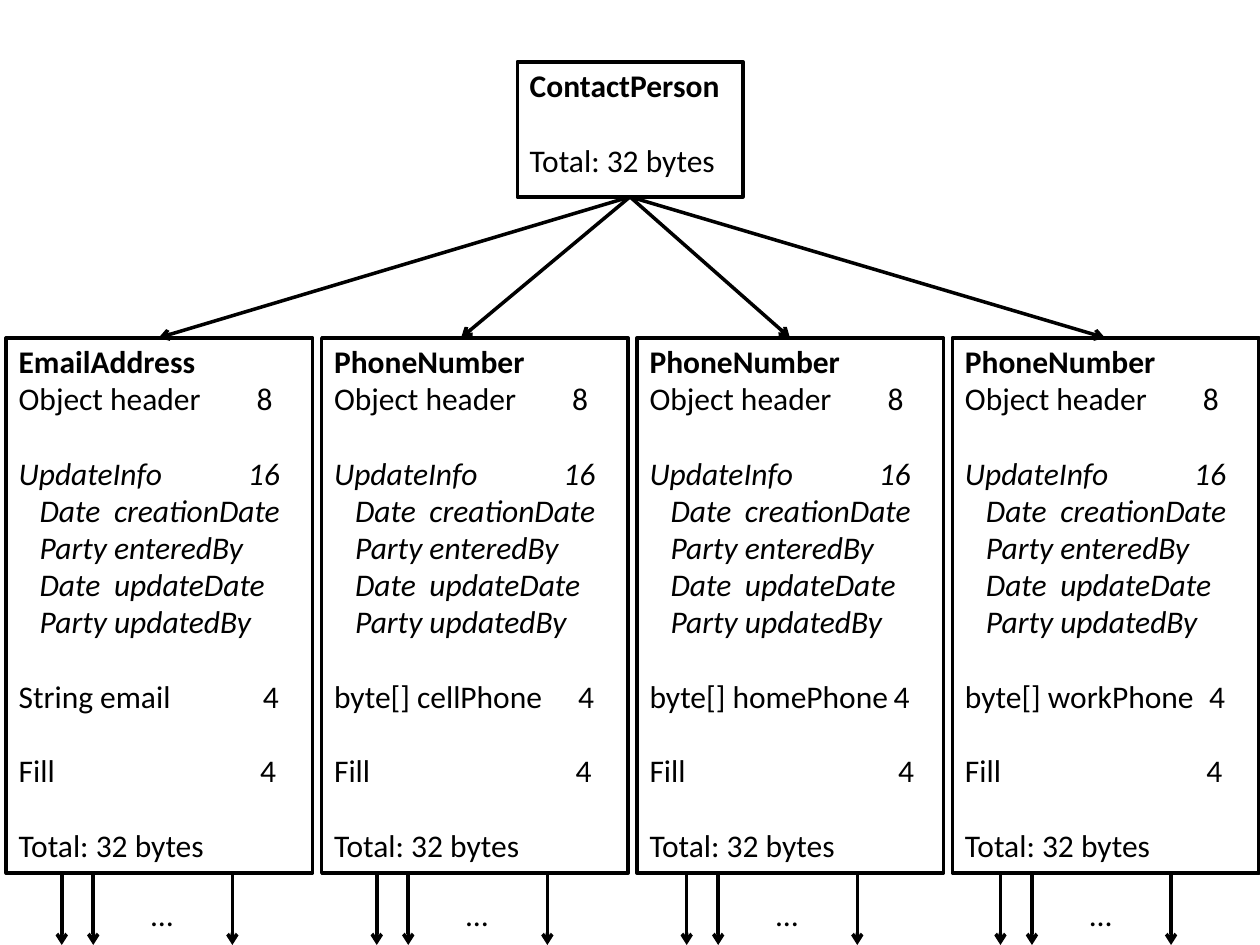
"""Builds a slide showing the memory layout of a ContactPerson and its children."""
import pptx
import pptx.chart.data
import pptx.dml.color
import pptx.enum.shapes
import pptx.enum.text
import pptx.oxml.ns
import pptx.util
from dataclasses import dataclass
from lxml import etree

Pt = pptx.util.Pt
qn = pptx.oxml.ns.qn


@dataclass(frozen=True)
class Theme:
    font: str = "Calibri"
    size: float = 18
    ink: str = "000000"
    paper: str = "FFFFFF"
    stroke: float = 2
    leading: float = 0.98
    gap: float = 21.5


@dataclass(frozen=True)
class Row:
    text: str
    stops: tuple = ()
    bold: bool = False
    italic: bool = False
    gap: bool = False


class Diagram:
    def __init__(self, s, theme):
        self.s = s
        self.theme = theme

    def color(self, value):
        return pptx.dml.color.RGBColor.from_string(value)

    def paragraph(self, p, row):
        t = self.theme
        p.alignment = pptx.enum.text.PP_ALIGN.LEFT
        p.line_spacing = t.leading
        if row.gap:
            p.space_before = Pt(t.gap)
        if row.stops:
            tabs = etree.SubElement(p._p.get_or_add_pPr(), qn("a:tabLst"))
            for stop in row.stops:
                etree.SubElement(tabs, qn("a:tab"), pos=str(Pt(stop)), algn="l")
        p.text = row.text
        f = p.font
        f.name, f.size, f.bold, f.italic = t.font, Pt(t.size), row.bold, row.italic
        f.color.rgb = self.color(t.ink)

    def box(self, x, y, w, h, rows):
        t = self.theme
        sp = self.s.shapes.add_shape(
            pptx.enum.shapes.MSO_SHAPE.RECTANGLE, Pt(x), Pt(y), Pt(w), Pt(h))
        sp.shadow.inherit = False
        sp.fill.solid()
        sp.fill.fore_color.rgb = self.color(t.paper)
        sp.line.color.rgb = self.color(t.ink)
        sp.line.width = Pt(t.stroke)
        tf = sp.text_frame
        tf.word_wrap = True
        tf.vertical_anchor = pptx.enum.text.MSO_ANCHOR.TOP
        for i, row in enumerate(rows):
            self.paragraph(tf.add_paragraph() if i else tf.paragraphs[0], row)

    def label(self, x, y, w, h, text):
        tf = self.s.shapes.add_textbox(Pt(x), Pt(y), Pt(w), Pt(h)).text_frame
        tf.word_wrap = True
        self.paragraph(tf.paragraphs[0], Row(text))

    def arrow(self, x1, y1, x2, y2):
        t = self.theme
        c = self.s.shapes.add_connector(
            pptx.enum.shapes.MSO_CONNECTOR.STRAIGHT, Pt(x1), Pt(y1), Pt(x2), Pt(y2))
        c.line.color.rgb = self.color(t.ink)
        c.line.width = Pt(t.stroke)
        etree.SubElement(c.line._get_or_add_ln(), qn("a:tailEnd"), type="arrow")
        etree.SubElement(c._element.spPr, qn("a:effectLst"))


def object_rows(name, field, fill_stop):
    members = ("Date\tcreationDate", "Party\tenteredBy",
               "Date\tupdateDate", "Party\tupdatedBy")
    return [
        Row(name, bold=True),
        Row("Object header\t8", (136,)),
        Row("UpdateInfo\t16", (131,), italic=True, gap=True),
        *(Row("\t" + m, (12, 54.5), italic=True) for m in members),
        Row(field + "\t4", (139.5,), gap=True),
        Row("Fill\t4", (fill_stop,), gap=True),
        Row("Total: 32 bytes", gap=True),
    ]


def main():
    prs = pptx.Presentation()
    prs.slide_width, prs.slide_height = Pt(720), Pt(540)
    d = Diagram(prs.slides.add_slide(prs.slide_layouts[6]), Theme())

    root_bottom, top, height, bottom = 112.5, 193, 306, 540
    d.box(295.6, 35.3, 129, 77.2,
          [Row("ContactPerson", bold=True), Row("Total: 32 bytes", gap=True)])

    children = [
        ("EmailAddress", "String email", 138, 90.7, 35.3),
        ("PhoneNumber", "byte[] cellPhone", 138, 263.5, 215.3),
        ("PhoneNumber", "byte[] homePhone", 142, 451.4, 392.4),
        ("PhoneNumber", "byte[] workPhone", 138, 631.4, 571.7),
    ]
    for i, (name, field, fill_stop, target, refs) in enumerate(children):
        d.box(3.6 + 180.25 * i, top, 175, height, object_rows(name, field, fill_stop))
        d.arrow(360, root_bottom, target, top)
        for offset in (0, 18, 97.5):
            d.arrow(refs + offset, top + height, refs + offset, bottom)
        d.label(refs + 44, 509, 35.3, 29, "…")

    prs.save("out.pptx")


if __name__ == "__main__":
    main()
